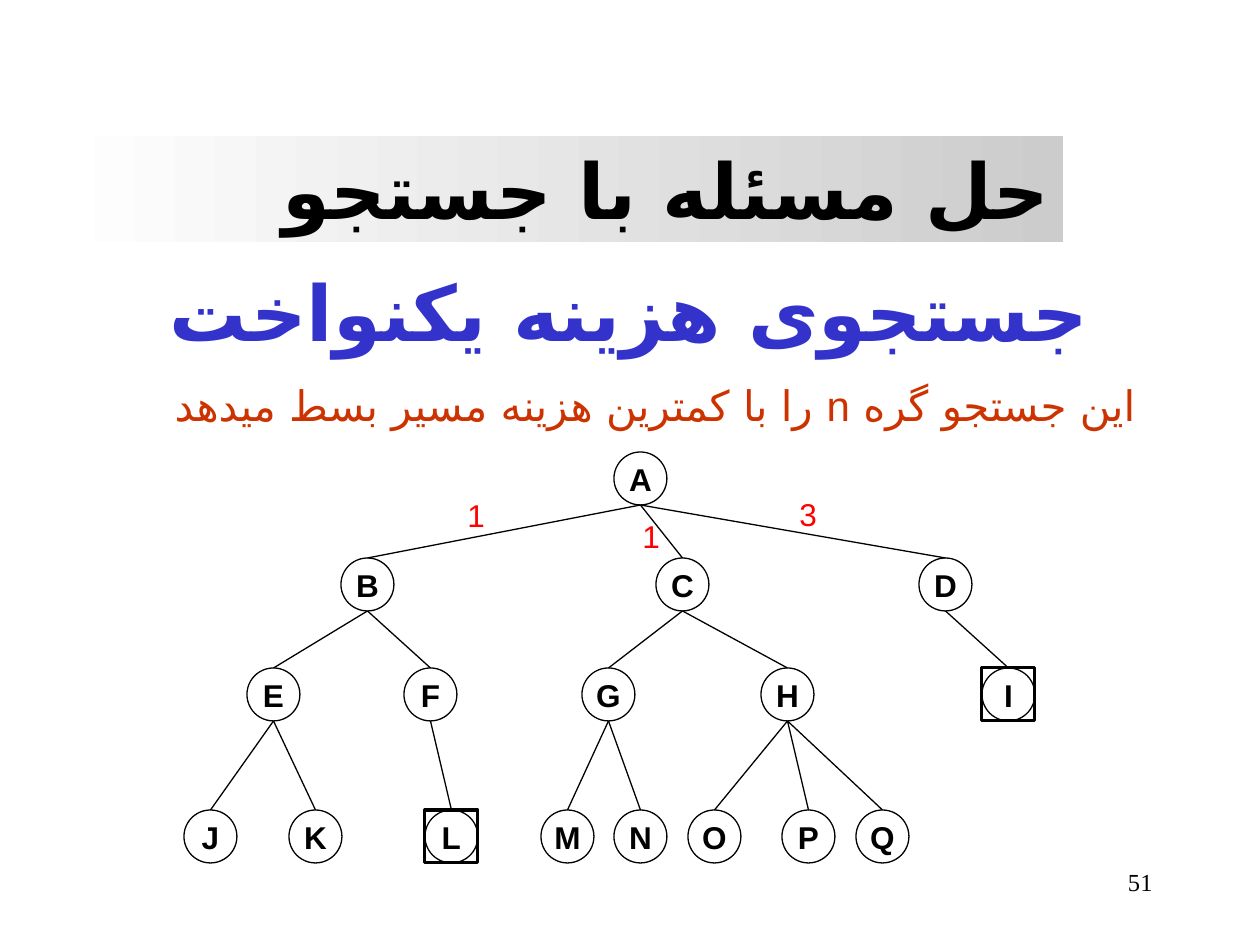
from lxml.etree import SubElement
from pptx import Presentation
from pptx.dml.color import RGBColor
from pptx.enum.shapes import MSO_CONNECTOR as Connector, MSO_SHAPE as Preset
from pptx.enum.text import MSO_ANCHOR as Anchor, MSO_AUTO_SIZE as AutoSize, PP_ALIGN as Align
from pptx.oxml.ns import qn
from pptx.util import Emu, Pt

PX_PER_INCH = 126
NODE = 53
PERSIAN_FONT = "DejaVu Sans"
LEVELS = [
    (452, {"A": 614}),
    (558, {"B": 341, "C": 656, "D": 919}),
    (668, {"E": 247, "F": 404, "G": 582, "H": 761, "I": 982}),
    (810, {"J": 184, "K": 289, "L": 425, "M": 541, "N": 614, "O": 688, "P": 782, "Q": 856}),
]
CHILDREN = {"A": "BCD", "B": "EF", "C": "GH", "D": "I", "E": "JK", "F": "L", "G": "MN", "H": "OPQ"}
GOALS = "LI"
COSTS = [("1", 455, 490), ("1", 630, 511), ("3", 787, 489)]


def px(length):
    return Emu(round(length * 914400 / PX_PER_INCH))


def color(value):
    return RGBColor.from_string(value)


def write(shape, text, size=18, font="Arial", ink="000000", bold=False, align=Align.LEFT,
          anchor=Anchor.TOP, wrap=True, rtl=False, grow=False):
    frame = shape.text_frame
    frame.word_wrap = wrap
    frame.auto_size = AutoSize.SHAPE_TO_FIT_TEXT if grow else AutoSize.NONE
    frame.vertical_anchor = anchor
    paragraph = frame.paragraphs[0]
    paragraph.alignment = align
    run = paragraph.add_run()
    run.text = text
    run.font.size = Pt(size)
    run.font.name = font
    run.font.bold = bold
    run.font.color.rgb = color(ink)
    if rtl:
        paragraph._p.get_or_add_pPr().set("rtl", "1")
        properties = run._r.get_or_add_rPr()
        properties.set("lang", "fa-IR")
        SubElement(properties, qn("a:cs")).set("typeface", PERSIAN_FONT)


def add_text(shapes, text, left, top, width, height, **style):
    write(shapes.add_textbox(px(left), px(top), px(width), px(height)), text, **style)


def add_title(slide, text):
    title = slide.shapes.title
    title.left, title.top, title.width, title.height = px(54), px(136), px(1009), px(106)
    title.fill.gradient()
    title.fill.gradient_angle = 0
    for stop, shade in zip(title.fill.gradient_stops, ("FFFFFF", "CCCCCC")):
        stop.color.rgb = color(shade)
    write(title, text, size=44, font="Times New Roman", bold=True, align=Align.RIGHT,
          rtl=True, grow=True)


def add_outline(shapes, preset, left, top, weight):
    shape = shapes.add_shape(preset, px(left), px(top), px(NODE), px(NODE))
    shape.shadow.inherit = False
    shape.fill.background()
    shape.line.color.rgb = color("000000")
    shape.line.width = Pt(weight)
    return shape


def add_node(shapes, name, left, top):
    node = add_outline(shapes, Preset.OVAL, left, top, 0.75)
    node.fill.solid()
    node.fill.fore_color.rgb = color("FFFFFF")
    write(node, name, bold=True, align=Align.CENTER, anchor=Anchor.MIDDLE, wrap=False)


def add_edge(shapes, parent, child):
    half = NODE / 2
    edge = shapes.add_connector(Connector.STRAIGHT, px(parent[0] + half), px(parent[1] + NODE),
                                px(child[0] + half), px(child[1]))
    edge.line.color.rgb = color("000000")
    edge.line.width = Pt(0.75)
    SubElement(edge._element.spPr, qn("a:effectLst"))


def add_tree(slide):
    shapes = slide.shapes.add_group_shape().shapes
    places = {name: (left, top) for top, row in LEVELS for name, left in row.items()}
    for name, place in places.items():
        add_node(shapes, name, *place)
    for parent, children in CHILDREN.items():
        for child in children:
            add_edge(shapes, places[parent], places[child])
    for goal in GOALS:
        add_outline(shapes, Preset.RECTANGLE, *places[goal], 1.75)
    for cost, left, top in COSTS:
        add_text(shapes, cost, left, top, 43, 50, ink="FF0000", wrap=False, grow=True)


def main():
    presentation = Presentation()
    presentation.slide_width, presentation.slide_height = px(1260), px(945)
    slide = presentation.slides.add_slide(presentation.slide_layouts[5])
    add_title(slide, "حل مسئله با جستجو")
    add_text(slide.shapes, "جستجوی هزينه يکنواخت", 44, 258, 1171, 106, size=44,
             ink="3333CC", bold=True, align=Align.CENTER, rtl=True, grow=True)
    add_tree(slide)
    add_text(slide.shapes, "اين جستجو گره n را با کمترين هزينه مسير بسط ميدهد", 144, 373,
             1022, 63, size=24, ink="CC3300", align=Align.CENTER, rtl=True, grow=True)
    add_text(slide.shapes, "51", 903, 861, 262, 63, size=14, font="Times New Roman",
             align=Align.RIGHT)
    presentation.save("out.pptx")


if __name__ == "__main__":
    main()
